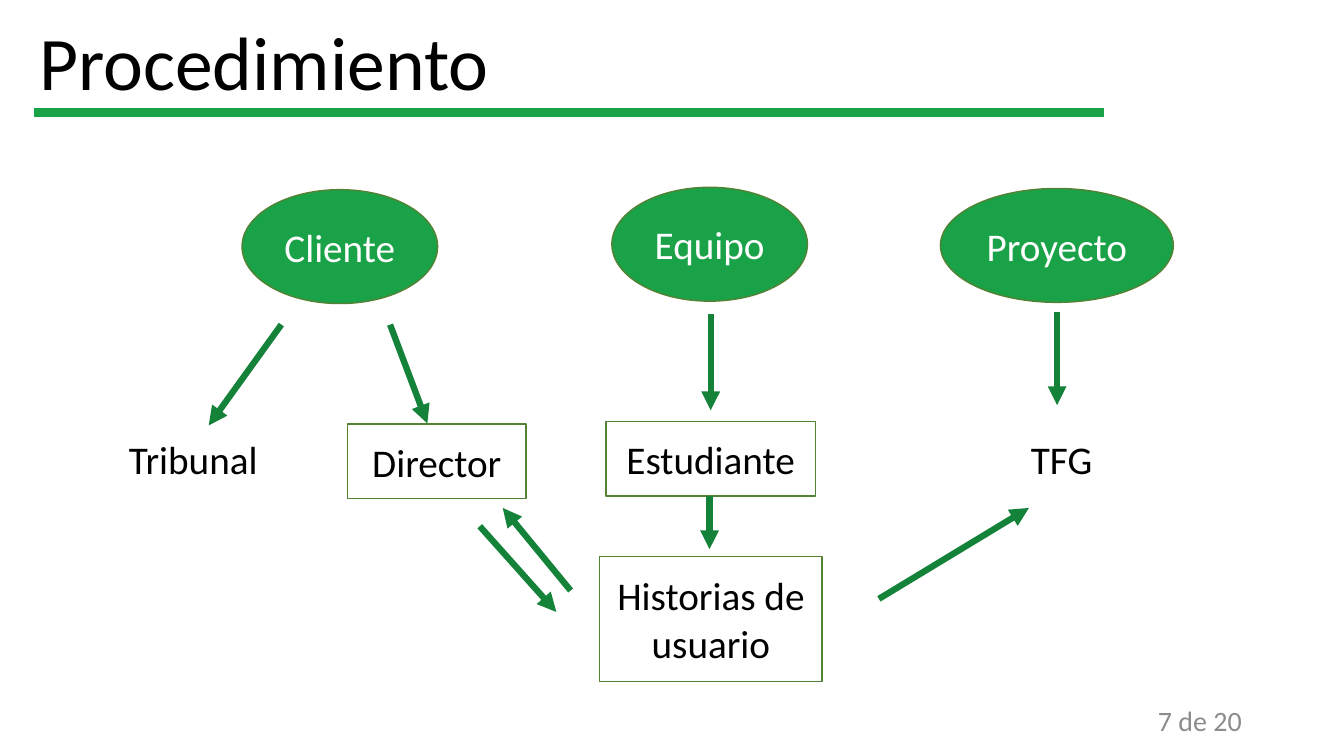
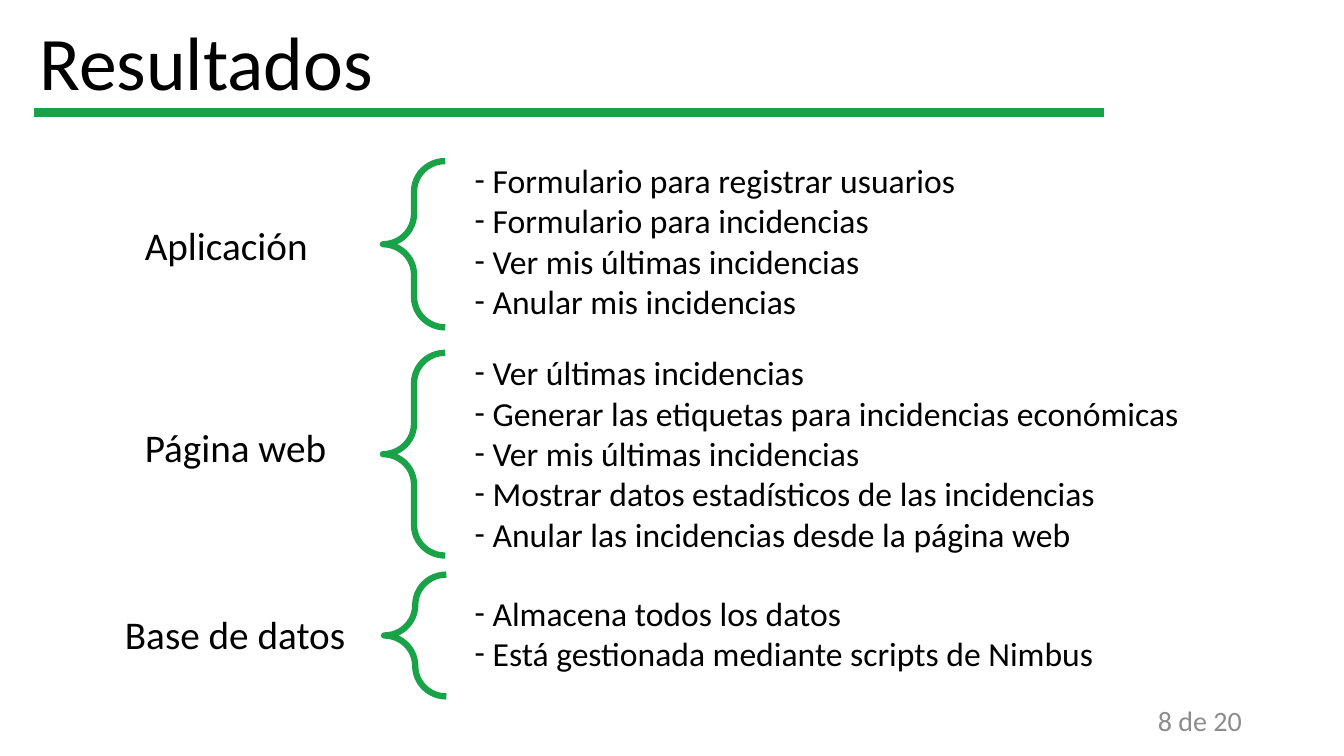
"""Build two slides: a procedure diagram and a grouped list of results."""
from pptx import Presentation
from pptx.dml.color import RGBColor
from pptx.enum.shapes import MSO_CONNECTOR, MSO_SHAPE
from pptx.enum.text import MSO_ANCHOR as Anchor, MSO_AUTO_SIZE as AutoSize, PP_ALIGN as Align
from pptx.oxml.ns import qn
from pptx.util import Cm, Pt
from lxml.etree import SubElement

BLACK = RGBColor(0x00, 0x00, 0x00)
WHITE = RGBColor(0xFF, 0xFF, 0xFF)
GRAY = RGBColor(0x8C, 0x8C, 0x8C)
GREEN = RGBColor(0x19, 0xA2, 0x47)
ARROW_GREEN = RGBColor(0x14, 0x82, 0x39)
BORDER_GREEN = RGBColor(0x54, 0x82, 0x35)
FONT = "Calibri"


def write(box, lines, size, color=BLACK, align=Align.LEFT, anchor=Anchor.TOP):
    """Fill a shape with one paragraph per line, all in the same style."""
    frame = box.text_frame
    frame.word_wrap = True
    frame.auto_size = AutoSize.NONE
    frame.vertical_anchor = anchor
    for number, line in enumerate(lines):
        para = frame.add_paragraph() if number else frame.paragraphs[0]
        para.alignment = align
        para.line_spacing = 1.0
        para.space_before = Pt(0)
        span = para.add_run()
        span.text = line
        span.font.name = FONT
        span.font.size = Pt(size)
        span.font.bold = False
        span.font.color.rgb = color


def draw_line(page, ends, color, width):
    """Add a straight line without shadow and return it."""
    line = page.shapes.add_connector(MSO_CONNECTOR.STRAIGHT, *[Cm(end) for end in ends])
    line.line.color.rgb = color
    line.line.width = Pt(width)
    SubElement(line.element.spPr, qn("a:effectLst"))
    return line


deck = Presentation()
deck.slide_width, deck.slide_height = Cm(33.87), Cm(19.05)

pages = []
for layout, title, number in [
    ("Title Only", "Procedimiento", 7),
    ("Comparison", "Resultados", 8),
]:
    page = deck.slides.add_slide(deck.slide_layouts.get_by_name(layout))
    heading = page.shapes.title
    heading.left, heading.top, heading.width, heading.height = Cm(0.74), Cm(0.25), Cm(16.94), Cm(2.57)
    write(heading, [title], 54)
    draw_line(page, (0.86, 2.84, 27.81, 2.84), GREEN, 6)
    footer = page.shapes.add_textbox(Cm(23.93), Cm(17.65), Cm(7.62), Cm(1.02))
    write(footer, [f"{number} de 20"], 20, GRAY, Align.RIGHT, Anchor.MIDDLE)
    pages.append(page)
procedure, results = pages

for kind, text, left, top, width, height in [
    (MSO_SHAPE.OVAL, "Cliente", 6.1, 4.78, 4.93, 2.87),
    (MSO_SHAPE.OVAL, "Equipo", 15.42, 4.72, 4.93, 2.87),
    (MSO_SHAPE.OVAL, "Proyecto", 23.7, 4.75, 5.87, 2.87),
    (MSO_SHAPE.RECTANGLE, "Director", 8.76, 10.69, 4.5, 1.88),
    (MSO_SHAPE.RECTANGLE, "Estudiante", 15.27, 10.62, 5.28, 1.88),
    (MSO_SHAPE.RECTANGLE, "Historias de usuario", 15.11, 14.02, 5.61, 3.15),
]:
    node = procedure.shapes.add_shape(kind, Cm(left), Cm(top), Cm(width), Cm(height))
    node.shadow.inherit = False
    node.line.color.rgb = BORDER_GREEN
    node.line.width = Pt(1)
    color = BLACK
    if kind == MSO_SHAPE.OVAL:
        node.fill.solid()
        node.fill.fore_color.rgb = GREEN
        color = WHITE
    else:
        node.fill.background()
    write(node, [text], 28, color, Align.CENTER, Anchor.MIDDLE)

for text, left in [("Tribunal", 3), ("TFG", 25.73)]:
    label = procedure.shapes.add_textbox(Cm(left), Cm(10.85), Cm(4.7), Cm(1.45))
    write(label, [text], 28)

for ends in [
    (7.09, 8.18, 5.26, 10.72),
    (9.83, 8.18, 10.77, 10.67),
    (17.91, 7.92, 17.91, 10.34),
    (26.64, 7.87, 26.64, 10.21),
    (17.88, 12.5, 17.88, 13.84),
    (12.09, 13.26, 14.02, 15.42),
    (14.38, 14.88, 12.67, 12.8),
    (22.15, 15.09, 25.93, 12.8),
]:
    arrow = draw_line(procedure, ends, ARROW_GREEN, 4.5)
    SubElement(arrow.element.spPr.find(qn("a:ln")), qn("a:tailEnd"), type="triangle")

groups = [
    ("Aplicación", 3.4, 5.45, (9.65, 4.06, 4.19), 3.9, [
        "Formulario para registrar usuarios",
        "Formulario para incidencias",
        "Ver mis últimas incidencias",
        "Anular mis incidencias",
    ]),
    ("Página web", 3.4, 10.53, (9.65, 8.89, 5.11), 8.75, [
        "Ver últimas incidencias",
        "Generar las etiquetas para incidencias económicas",
        "Ver mis últimas incidencias",
        "Mostrar datos estadísticos de las incidencias",
        "Anular las incidencias desde la página web",
    ]),
    ("Base de datos", 2.9, 15.25, (9.68, 14.48, 3.07), 14.81, [
        "Almacena todos los datos",
        "Está gestionada mediante scripts de Nimbus",
    ]),
]
*bodies, spare = list(results.placeholders)[1:]
spare.element.getparent().remove(spare.element)

for body, (text, left, top, brace_place, list_top, items) in zip(bodies, groups):
    label = results.shapes.add_textbox(Cm(left), Cm(top), Cm(6.55), Cm(1.45))
    write(label, [text], 28)

    brace_left, brace_top, brace_height = brace_place
    brace = results.shapes.add_shape(
        MSO_SHAPE.LEFT_BRACE, Cm(brace_left), Cm(brace_top), Cm(1.57), Cm(brace_height))
    brace.adjustments[0] = 0.49
    brace.shadow.inherit = False
    brace.fill.background()
    brace.line.color.rgb = GREEN
    brace.line.width = Pt(4.5)

    body.left, body.top = Cm(11.71), Cm(list_top)
    body.width, body.height = Cm(18.9), Cm(0.25 + 1.03 * len(items))
    write(body, items, 24)
    for para in body.text_frame.paragraphs:
        settings = para._p.get_or_add_pPr()
        settings.set("marL", str(Cm(0.45)))
        settings.set("indent", str(-Cm(0.45)))
        SubElement(settings, qn("a:buFont"), typeface=FONT)
        SubElement(settings, qn("a:buChar"), char="-")

deck.save("out.pptx")
